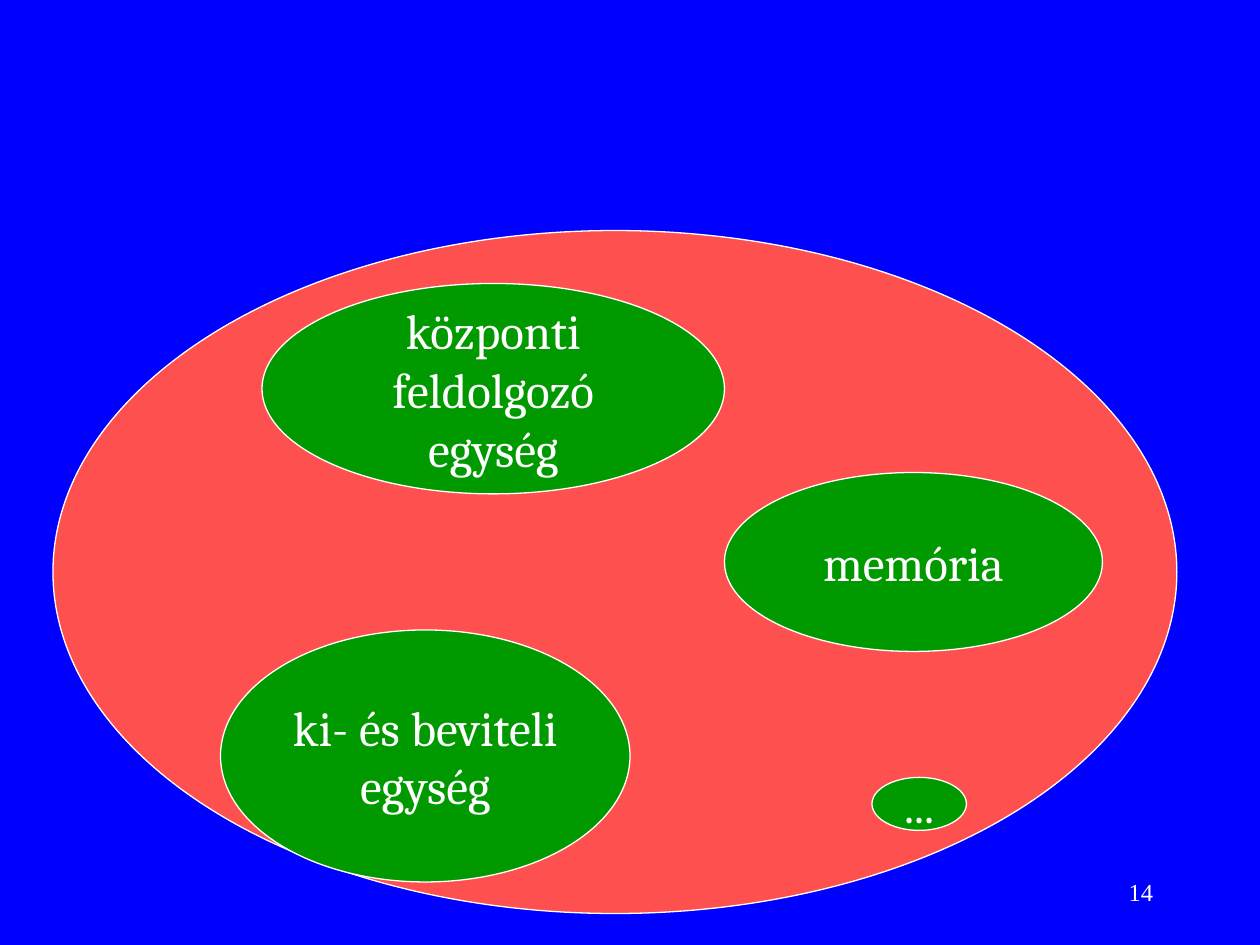
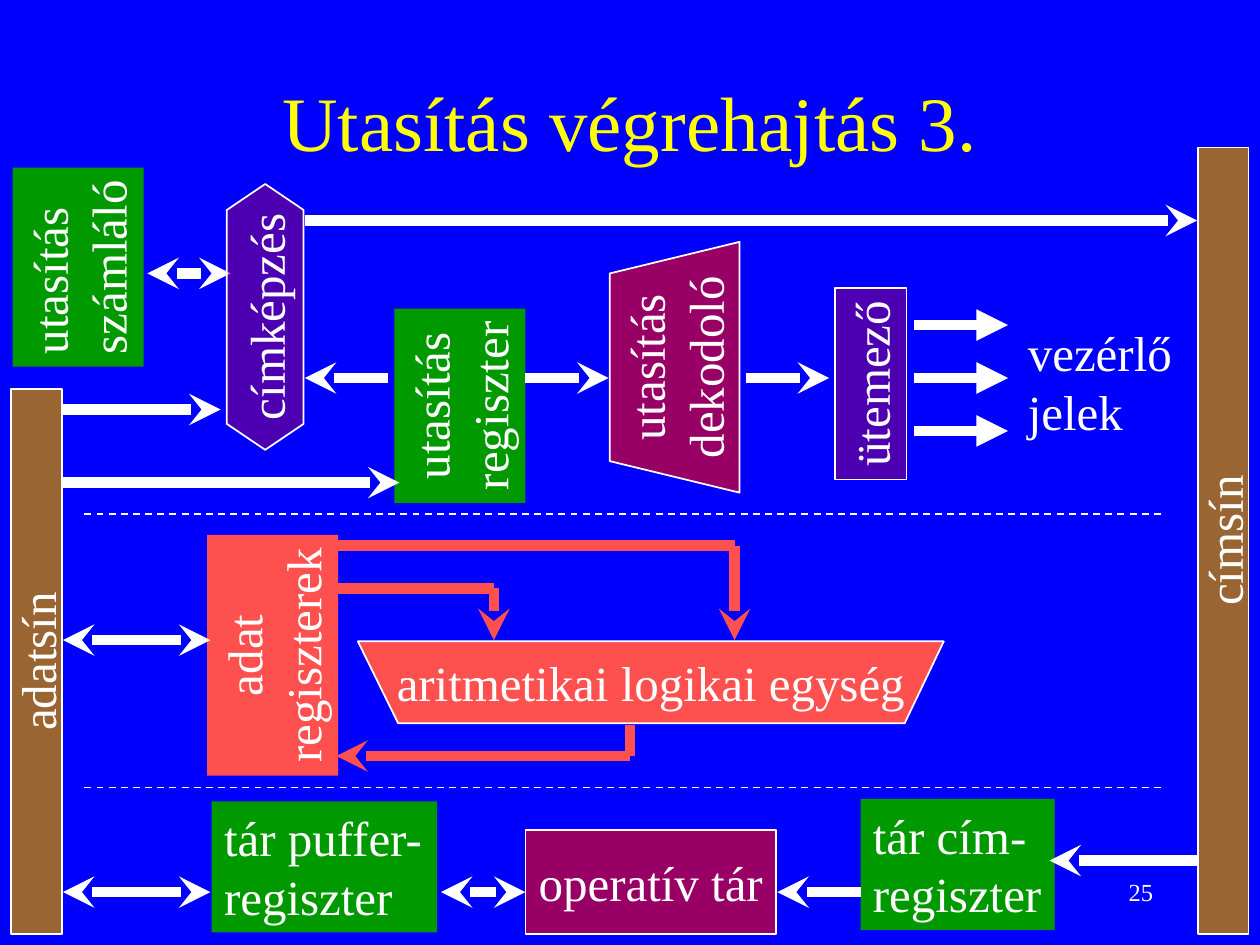
"""Two Hungarian lecture slides on the parts of a computer and instruction execution."""
from typing import NamedTuple

from lxml.etree import SubElement
from pptx import Presentation
from pptx.dml.color import RGBColor
from pptx.enum.dml import MSO_LINE_DASH_STYLE as Dash
from pptx.enum.shapes import MSO_CONNECTOR as Connector, MSO_SHAPE as Preset
from pptx.enum.text import MSO_ANCHOR as Anchor, PP_ALIGN as Align
from pptx.oxml.ns import qn
from pptx.util import Inches, Pt

WHITE, YELLOW, BLUE = "FFFFFF", "FFFF00", "0000FF"
GREEN, CORAL, PLUM, BROWN = "009900", "FF5050", "990066", "996633"
SERIF, CAMBRIA = "Times New Roman", "Cambria"
BODY_SIZE, TITLE_SIZE, NUMBER_SIZE = 28, 44, 14


class Block(NamedTuple):
    lines: str
    left: float
    top: float
    width: float
    height: float
    fill: str
    outline: float = 0
    rotation: int = 0
    preset: Preset = Preset.RECTANGLE
    align: Align = Align.CENTER
    anchor: Anchor = Anchor.MIDDLE
    font: str = SERIF
    opacity: int = 100


class Outline(NamedTuple):
    lines: str
    points: list[tuple[float, float]]
    fill: str
    rotation: int = 0


class Arrow(NamedTuple):
    x1: float
    y1: float
    x2: float
    y2: float
    color: str = WHITE
    tail: str = "stealth"
    head: str = ""


COMPUTER = Block("", 0.42, 1.83, 8.92, 5.42, CORAL, 0.75, preset=Preset.OVAL)
UNITS = [
    Block(lines, *frame, GREEN, 0.75, preset=Preset.OVAL, font=CAMBRIA)
    for lines, frame in [
        ("memória", (5.75, 3.75, 3, 1.42)),
        ("központi\nfeldolgozó\negység", (2.08, 2.25, 3.67, 1.67)),
        ("ki- és beviteli\negység", (1.75, 5, 3.25, 2)),
        ("...", (6.92, 6.17, 0.75, 0.42)),
    ]
]

BLOCKS = [
    Block("utasítás\nszámláló", -0.17, 1.6, 1.58, 1.04, GREEN, rotation=270,
          align=Align.LEFT, anchor=Anchor.TOP),
    Block("utasítás\nregiszter", 2.88, 2.7, 1.54, 1.04, GREEN, rotation=270, anchor=Anchor.TOP),
    Block("ütemező", 6.15, 2.76, 1.52, 0.57, PLUM, 1, 270, anchor=Anchor.TOP, opacity=50),
    Block("vezérlő\njelek", 8.06, 2.51, 1.34, 1.04, "", align=Align.LEFT, anchor=Anchor.TOP),
    Block("adat\nregiszterek", 1.21, 4.68, 1.91, 1.04, CORAL, rotation=270, anchor=Anchor.TOP),
    Block("tár puffer-\nregiszter", 1.68, 6.36, 1.79, 1.04, GREEN,
          align=Align.LEFT, anchor=Anchor.TOP),
    Block("tár cím-\nregiszter", 6.83, 6.34, 1.54, 1.04, GREEN,
          align=Align.LEFT, anchor=Anchor.TOP),
    Block("címsín", 6.59, 4.09, 6.24, 0.4, BROWN, 1, 270),
    Block("adatsín", -1.87, 5.05, 4.32, 0.4, BROWN, 1, 270),
    Block("operatív tár", 4.17, 6.59, 1.99, 0.82, PLUM, 1),
]
ADDRESSING = Block("címképzés", 1.05, 2.21, 2.11, 0.61, PLUM, 1, 270, Preset.HEXAGON, opacity=50)

DECODER = Outline("utasítás\ndekodoló",
                  [(4.61, 2.4), (6.1, 2.4), (6.35, 3.43), (4.36, 3.43)], PLUM, 270)
ARITHMETIC_UNIT = Outline("aritmetikai logikai egység",
                          [(2.84, 5.09), (7.49, 5.09), (7.18, 5.74), (3.16, 5.74)], CORAL)

CONTROL_SIGNALS = [Arrow(7.25, y, 8, y, tail="triangle") for y in (2.58, 3, 3.42)]
ARROWS = CONTROL_SIGNALS + [
    Arrow(4.17, 3, 4.83, 3),
    Arrow(3.08, 3, 2.42, 3),
    Arrow(5.92, 3, 6.58, 3),
    Arrow(0.5, 3.25, 1.75, 3.25),
    Arrow(0.5, 3.83, 3.17, 3.83),
    Arrow(2.42, 1.75, 9.5, 1.75),
    Arrow(6.83, 7.08, 6.17, 7.08),
    Arrow(9.5, 6.83, 8.33, 6.83),
    Arrow(4.17, 7.08, 3.5, 7.08, head="stealth"),
    Arrow(1.67, 5.08, 0.5, 5.08, head="stealth"),
    Arrow(1.67, 7.08, 0.5, 7.08, head="stealth"),
    Arrow(1.83, 2.17, 1.17, 2.17, head="stealth"),
    Arrow(5, 5.75, 5, 6, CORAL, tail=""),
    Arrow(5, 6, 2.67, 6, CORAL),
    Arrow(3.92, 4.67, 2.67, 4.67, CORAL, tail=""),
    Arrow(3.92, 4.67, 3.92, 5.08, CORAL),
    Arrow(5.83, 4.33, 2.67, 4.33, CORAL, tail=""),
    Arrow(5.83, 4.33, 5.83, 5.08, CORAL),
]
DIVIDERS = [4.08, 6.25]


def paint(color_format, color: str) -> None:
    color_format.rgb = RGBColor.from_string(color)


def write(shape, lines: str, align: Align, anchor: Anchor, font: str = SERIF,
          size: int = BODY_SIZE, color: str = WHITE, wrap: bool = False) -> None:
    frame = shape.text_frame
    frame.text = lines
    frame.word_wrap = wrap
    frame.vertical_anchor = anchor
    for paragraph in frame.paragraphs:
        paragraph.alignment = align
        paragraph.font.name = font
        paragraph.font.size = Pt(size)
        paint(paragraph.font.color, color)


def style(shape, fill: str, outline: float, opacity: int = 100) -> None:
    shape.shadow.inherit = False
    if fill:
        shape.fill.solid()
        paint(shape.fill.fore_color, fill)
    else:
        shape.fill.background()
    if opacity < 100:
        color = shape.fill._xPr.find(qn("a:solidFill"))[0]
        SubElement(color, qn("a:alpha"), val=str(opacity * 1000))
    if outline:
        paint(shape.line.color, WHITE)
        shape.line.width = Pt(outline)
    else:
        shape.line.fill.background()


def add_block(slide, block: Block) -> None:
    frame = map(Inches, (block.left, block.top, block.width, block.height))
    shape = slide.shapes.add_shape(block.preset, *frame)
    if block.preset == Preset.HEXAGON:
        shape.adjustments[0] = 0.338
    shape.rotation = block.rotation
    style(shape, block.fill, block.outline, block.opacity)
    if block.lines:
        write(shape, block.lines, block.align, block.anchor, block.font)


def add_outline(slide, outline: Outline) -> None:
    start, *others = [(Inches(x), Inches(y)) for x, y in outline.points]
    builder = slide.shapes.build_freeform(*start)
    builder.add_line_segments(others, close=True)
    shape = builder.convert_to_shape()
    shape.rotation = outline.rotation
    style(shape, outline.fill, 1)
    write(shape, outline.lines, Align.CENTER, Anchor.MIDDLE)


def add_line(slide, arrow: Arrow, width: float = 6):
    ends = map(Inches, (arrow.x1, arrow.y1, arrow.x2, arrow.y2))
    connector = slide.shapes.add_connector(Connector.STRAIGHT, *ends)
    paint(connector.line.color, arrow.color)
    connector.line.width = Pt(width)
    line = connector.line._get_or_add_ln()
    for tag, kind in (("a:headEnd", arrow.head), ("a:tailEnd", arrow.tail)):
        if kind:
            SubElement(line, qn(tag), type=kind)
    SubElement(connector._element.spPr, qn("a:effectLst"))
    return connector


def add_slide(presentation, layout: str, title: str = ""):
    slide = presentation.slides.add_slide(presentation.slide_layouts.get_by_name(layout))
    slide.background.fill.solid()
    paint(slide.background.fill.fore_color, BLUE)
    if title:
        heading = slide.shapes.title
        heading.left, heading.top, heading.width, heading.height = map(
            Inches, (0.75, 0.33, 8.5, 1.25))
        write(heading, title, Align.CENTER, Anchor.MIDDLE,
              size=TITLE_SIZE, color=YELLOW, wrap=True)
    return slide


def add_number(slide, number: int) -> None:
    box = slide.shapes.add_textbox(*map(Inches, (7.17, 6.83, 2.08, 0.5)))
    write(box, str(number), Align.RIGHT, Anchor.MIDDLE, size=NUMBER_SIZE, wrap=True)


def build_computer_slide(presentation) -> None:
    slide = add_slide(presentation, "Blank")
    for block in [COMPUTER, *UNITS]:
        add_block(slide, block)
    add_number(slide, 14)


def build_execution_slide(presentation) -> None:
    slide = add_slide(presentation, "Title Only", "Utasítás végrehajtás 3.")
    for block in BLOCKS:
        add_block(slide, block)
    for outline in (DECODER, ARITHMETIC_UNIT):
        add_outline(slide, outline)
    for arrow in ARROWS:
        add_line(slide, arrow)
    for y in DIVIDERS:
        divider = add_line(slide, Arrow(0.67, y, 9.25, y, tail=""), 1)
        divider.line.dash_style = Dash.DASH
    add_block(slide, ADDRESSING)
    add_number(slide, 25)


def main() -> None:
    presentation = Presentation()
    presentation.slide_width, presentation.slide_height = Inches(10), Inches(7.5)
    build_computer_slide(presentation)
    build_execution_slide(presentation)
    presentation.save("out.pptx")


if __name__ == "__main__":
    main()
